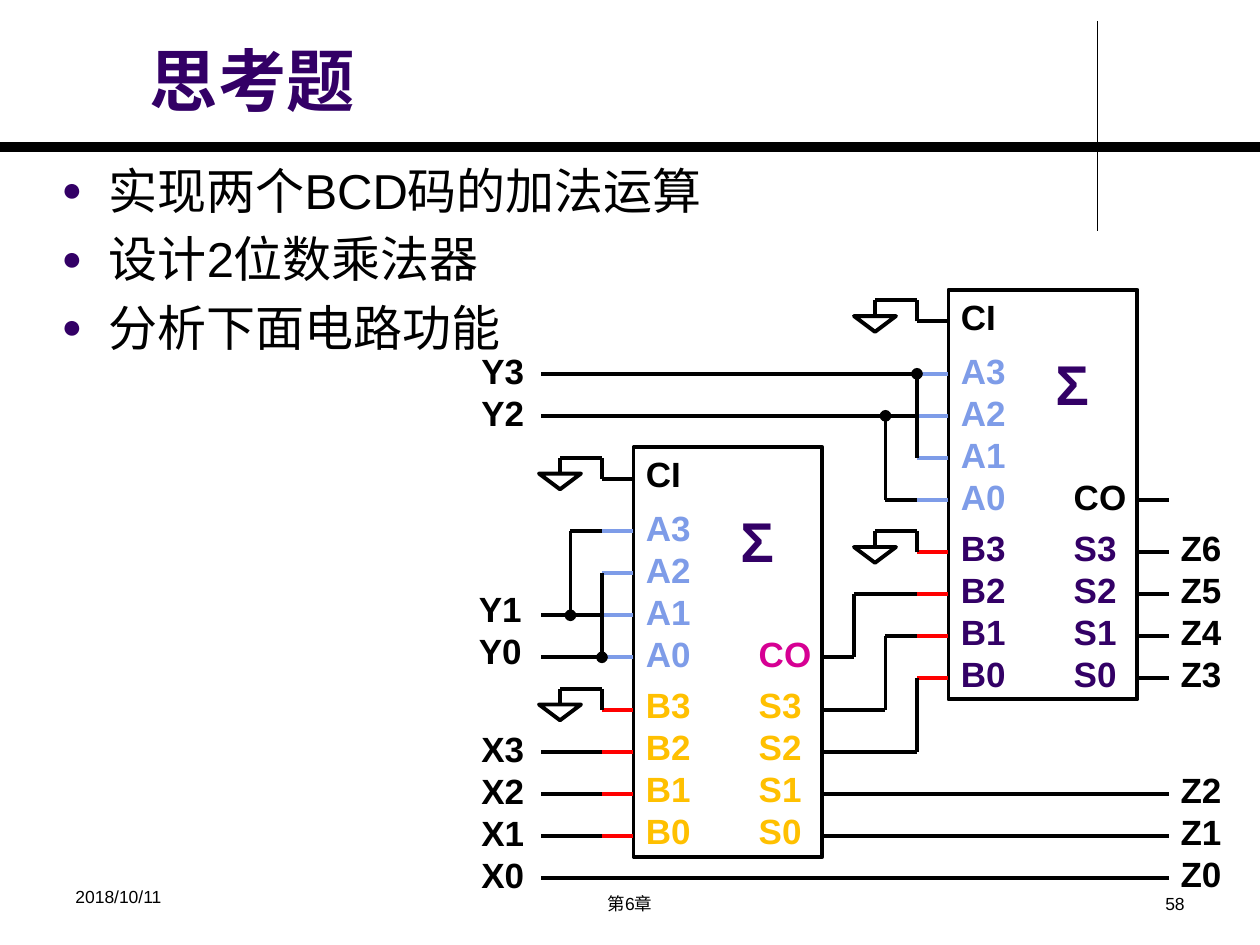
from lxml import etree
from pptx import Presentation
from pptx.dml.color import RGBColor
from pptx.enum import shapes, text
from pptx.oxml import ns
from pptx.util import Pt

BLACK, PURPLE, BLUE, RED = "000000", "330066", "7E9CE8", "FF0000"
GOLD, PINK = "FFC000", "D60093"

TITLE = "思考题"
BULLETS = ["实现两个BCD码的加法运算", "设计2位数乘法器", "分析下面电路功能"]
FOOTERS = [("2018/10/11", 36, 503, 168, "LEFT"),
           ("第6章", 246, 507, 228, "CENTER"),
           ("58", 516, 507, 168, "RIGHT")]

# Pin heights below the top edge of an adder, and the line pitch of its labels
PINS = {"CI": 18, "A3": 48, "A2": 72, "A1": 96, "A0": 120,
        "B3": 150, "B2": 174, "B1": 198, "B0": 222}
PITCH = {"A3": 31, "B3": 29}
OUTPUTS = {"A0": "CO", "B3": "S3", "B2": "S2", "B1": "S1", "B0": "S0"}
ROW, STUB, CHIP_W, CHIP_H = 24, 18, 108, 234

# left, top, carry colour, colour of B and S labels
LOW = (362, 255.6, PINK, GOLD)
HIGH = (542, 165.6, BLACK, PURPLE)

# left, top, width, names
SIGNALS = [(266.5, 332, 40, ["Y1", "Y0"]),
           (268, 412, 41, ["X3", "X2", "X1", "X0"]),
           (268, 196, 40, ["Y3", "Y2"]),
           (667.5, 297.5, 40, ["Z6", "Z5", "Z4", "Z3"]),
           (667.5, 435.5, 40, ["Z2", "Z1", "Z0"])]

prs = Presentation()
prs.slide_width, prs.slide_height = Pt(720), Pt(540)
s = prs.slides.add_slide(prs.slide_layouts[1])


def rgb(value):
    return RGBColor.from_string(value)


def style(p, size, color=BLACK, bold=False):
    p.font.name, p.font.size, p.font.bold = "Arial", Pt(size), bold
    p.font.color.rgb = rgb(color)


def box(left, top, width, height, lines, size, color=BLACK, bold=False, wrap=False):
    tf = s.shapes.add_textbox(Pt(left), Pt(top), Pt(width), Pt(height)).text_frame
    tf.word_wrap = wrap
    tf.text = "\n".join(lines)
    for p in tf.paragraphs:
        style(p, size, color, bold)
    return tf


def wire(*points, color=BLACK, width=2.25, dot=False):
    """Draw straight lines through the points; dot marks a junction at the first."""
    for i, (a, b) in enumerate(zip(points, points[1:])):
        c = s.shapes.add_connector(shapes.MSO_CONNECTOR.STRAIGHT, *map(Pt, a + b))
        c.line.color.rgb, c.line.width = rgb(color), Pt(width)
        etree.SubElement(c._element.spPr, ns.qn("a:effectLst"))
        if dot and i == 0:
            etree.SubElement(c.line._get_or_add_ln(), ns.qn("a:headEnd"), type="oval")


def outline(kind, left, top, width, height):
    sp = s.shapes.add_shape(kind, Pt(left), Pt(top), Pt(width), Pt(height))
    sp.shadow.inherit = False
    sp.fill.background()
    sp.line.color.rgb, sp.line.width = rgb(BLACK), Pt(2.25)
    return sp


def pin_in(chip, name):
    return chip[0] - STUB, chip[1] + PINS[name]


def pin_out(chip, name):
    row = next(pin for pin, out in OUTPUTS.items() if out == name)
    return chip[0] + CHIP_W + STUB, chip[1] + PINS[row]


def ground(chip, name):
    x, y = pin_in(chip, name)
    wire((x, y), (x, y - 12), (x - 24, y - 12), (x - 24, y - 3))
    outline(shapes.MSO_SHAPE.ISOSCELES_TRIANGLE, x - 36, y - 3, 24, 9).rotation = 180


def adder(chip):
    left, top, carry_color, data_color = chip
    tf = outline(shapes.MSO_SHAPE.RECTANGLE, left, top, CHIP_W, CHIP_H).text_frame
    tf.word_wrap, tf.vertical_anchor = True, text.MSO_ANCHOR.MIDDLE
    tf.margin_right = 0
    label_colors = {"C": BLACK, "A": BLUE, "B": data_color}
    stub_colors = {"C": BLACK, "A": BLUE, "B": RED}
    for i, name in enumerate(PINS):
        p = tf.add_paragraph() if i else tf.paragraphs[0]
        p.alignment, p.line_spacing = text.PP_ALIGN.LEFT, Pt(PITCH.get(name, ROW))
        style(p, 20, label_colors[name[0]], True)
        p.add_run().text = name
        x, y = pin_in(chip, name)
        wire((x + STUB, y), (x, y), color=stub_colors[name[0]])
        if name in OUTPUTS:
            tabs = etree.SubElement(p._p.get_or_add_pPr(), ns.qn("a:tabLst"))
            etree.SubElement(tabs, ns.qn("a:tab"), pos=str(Pt(64.5)), algn="l")
            p._p.pPr.insert(list(p._p.pPr).index(p._p.pPr.find(ns.qn("a:defRPr"))), tabs)
            r = p.add_run()
            r.text = "\t" + OUTPUTS[name]
            if OUTPUTS[name] == "CO":
                r.font.color.rgb = rgb(carry_color)
            x, y = pin_out(chip, OUTPUTS[name])
            wire((x, y), (x - STUB, y))
    box(left + 54, top + 30.5, 33, 45, ["Σ"], 32, PURPLE, True)


# Page frame and text
wire((627, 12), (627, 132), width=0.75)
wire((0, 84), (720, 84), width=6)

title, body = s.placeholders
title.left, title.top, title.width, title.height = map(Pt, (78.5, 14.5, 543.5, 58))
title.text_frame.text = TITLE
title.text_frame.vertical_anchor = text.MSO_ANCHOR.BOTTOM
p = title.text_frame.paragraphs[0]
p.alignment = text.PP_ALIGN.LEFT
style(p, 39, PURPLE, True)

body.left, body.top, body.width, body.height = map(Pt, (28, 88, 460, 153))
body.text_frame.text = "\n".join(BULLETS)
for p in body.text_frame.paragraphs:
    style(p, 28)
    pPr = p._p.get_or_add_pPr()
    pPr.set("marL", str(Pt(27)))
    pPr.set("indent", str(Pt(-27)))
    color = etree.Element(ns.qn("a:buClr"))
    etree.SubElement(color, ns.qn("a:srgbClr"), val=PURPLE)
    size = etree.Element(ns.qn("a:buSzPct"), val="70000")
    char = etree.Element(ns.qn("a:buChar"), char="●")
    for i, item in enumerate((color, size, char)):
        pPr.insert(i, item)
    p.space_before = Pt(5.6)

for words, left, top, width, align in FOOTERS:
    tf = box(left, top, width, 22, [words], 10, wrap=True)
    tf.paragraphs[0].alignment = text.PP_ALIGN[align]

# Circuit
for chip in (LOW, HIGH):
    adder(chip)
    for name in ("CI", "B3"):
        ground(chip, name)

for left, top, width, names in SIGNALS:
    for p in box(left, top, width, 7 + ROW * len(names), names, 20, bold=True).paragraphs:
        p.line_spacing = Pt(ROW)

IN_X, OUT_X = 309, 668
for chip, names in ((LOW, ("A1", "A0", "B2", "B1", "B0")), (HIGH, ("A3", "A2"))):
    for name in names:
        x, y = pin_in(chip, name)
        wire((x, y), (IN_X, y))

x0_y = LOW[1] + PINS["B0"] + ROW
wire((OUT_X, x0_y), (IN_X, x0_y))
for name in ("S1", "S0"):
    x, y = pin_out(LOW, name)
    wire((OUT_X, y), (x, y))

# Branches: adder, tapped pin, pin fed, distance of the junction left of the stub
for chip, tap, fed, shift in ((LOW, "A0", "A2", 0), (LOW, "A1", "A3", STUB),
                              (HIGH, "A3", "A1", 0), (HIGH, "A2", "A0", STUB)):
    (x, y), end = pin_in(chip, tap), pin_in(chip, fed)
    corner = (x - shift, end[1])
    wire((x - shift, y), corner, dot=True)
    if shift:
        wire(corner, end)

# Low adder outputs into the high adder, each bend one stub further right
for i, (out, fed) in enumerate((("CO", "B2"), ("S3", "B1"), ("S2", "B0"))):
    start, end = pin_out(LOW, out), pin_in(HIGH, fed)
    bend = start[0] + i * STUB
    route = [start, (bend, start[1]), (bend, end[1]), end]
    wire(*[pt for j, pt in enumerate(route) if j == 0 or pt != route[j - 1]])

prs.save("out.pptx")
